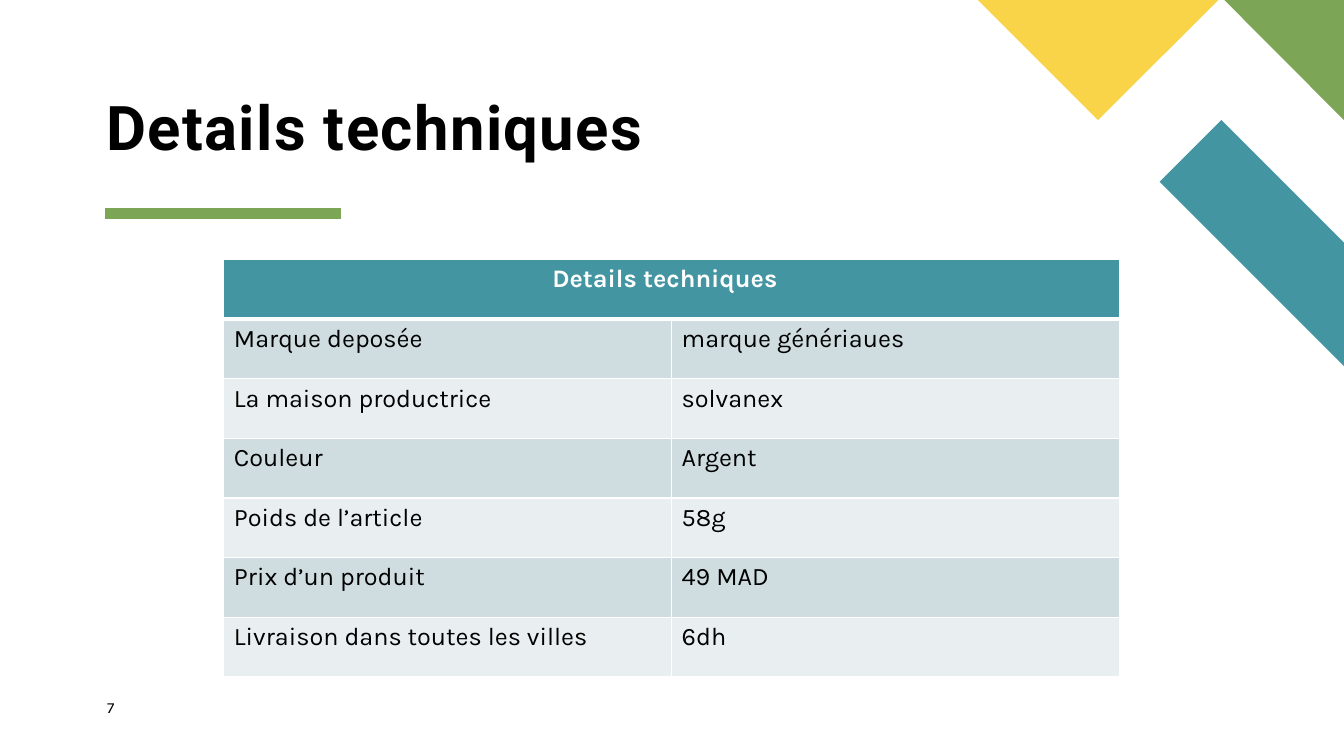
import dataclasses

import lxml.etree
import pptx
import pptx.dml.color
import pptx.enum.shapes
import pptx.enum.text
import pptx.oxml.ns
import pptx.util


@dataclasses.dataclass(frozen=True)
class Theme:
    teal: str = "4495A2"
    green: str = "7CA655"
    yellow: str = "F9D448"
    white: str = "FFFFFF"
    black: str = "000000"
    bands: tuple = ("CFDDE0", "E9EFF0")
    heading_font: str = "Roboto"
    body_font: str = "Karla"
    title_size: int = 44
    table_size: int = 18
    number_size: int = 11
    rule_width: int = 8
    border_width: int = 1
    header_border_width: int = 3


class SlideBuilder:
    COLUMNS = 160
    ROWS = 90

    def __init__(self, presentation, theme):
        self.theme = theme
        self.column = presentation.slide_width / self.COLUMNS
        self.row = presentation.slide_height / self.ROWS
        self.slide = presentation.slides.add_slide(presentation.slide_layouts[6])
        background = self.slide.background.fill
        background.solid()
        background.fore_color.rgb = self.color(theme.white)

    def color(self, value):
        return pptx.dml.color.RGBColor.from_string(value)

    def point(self, column, row):
        return round(column * self.column), round(row * self.row)

    def add_run(self, paragraph, text, size, font, color, bold=False):
        run = paragraph.add_run()
        run.text = text
        run.font.size = pptx.util.Pt(size)
        run.font.name = font
        run.font.bold = bold
        run.font.color.rgb = self.color(color)
        return run

    def add_text(self, position, extent, text, size, font, bold=False,
                 anchor=pptx.enum.text.MSO_ANCHOR.TOP, line_spacing=1.0, tracking=0):
        box = self.slide.shapes.add_textbox(*self.point(*position), *self.point(*extent))
        frame = box.text_frame
        frame.word_wrap = True
        frame.vertical_anchor = anchor
        frame.margin_left = frame.margin_right = 0
        frame.margin_top = frame.margin_bottom = 0
        paragraph = frame.paragraphs[0]
        paragraph.line_spacing = line_spacing
        run = self.add_run(paragraph, text, size, font, self.theme.black, bold)
        if tracking:
            run.font._element.set("spc", str(tracking * 100))

    def add_polygon(self, points, color):
        start, *others = [self.point(*point) for point in points]
        builder = self.slide.shapes.build_freeform(*start)
        builder.add_line_segments(others, close=True)
        shape = builder.convert_to_shape()
        shape.shadow.inherit = False
        shape.fill.solid()
        shape.fill.fore_color.rgb = self.color(color)
        shape.line.fill.background()

    def add_rule(self, start, end, color, width):
        connector = self.slide.shapes.add_connector(
            pptx.enum.shapes.MSO_CONNECTOR.STRAIGHT, *self.point(*start), *self.point(*end))
        connector.line.color.rgb = self.color(color)
        connector.line.width = pptx.util.Pt(width)
        lxml.etree.SubElement(connector._element.spPr, pptx.oxml.ns.qn("a:effectLst"))

    def style_cell(self, cell, fill, top, bottom):
        properties = cell._tc.get_or_add_tcPr()
        side = self.theme.border_width
        for name, width in (("lnL", side), ("lnR", side), ("lnT", top), ("lnB", bottom)):
            line = lxml.etree.SubElement(properties, pptx.oxml.ns.qn(f"a:{name}"))
            line.set("w", str(pptx.util.Pt(width)))
            solid = lxml.etree.SubElement(line, pptx.oxml.ns.qn("a:solidFill"))
            color = lxml.etree.SubElement(solid, pptx.oxml.ns.qn("a:srgbClr"))
            color.set("val", self.theme.white)
        cell.fill.solid()
        cell.fill.fore_color.rgb = self.color(fill)

    def add_table(self, position, extent, header, header_inset, details):
        theme = self.theme
        table = self.slide.shapes.add_table(
            len(details) + 1, 2, *self.point(*position), *self.point(*extent)).table
        thin, thick = theme.border_width, theme.header_border_width
        for cell in table.rows[0].cells:
            self.style_cell(cell, theme.teal, thin, thick)
        title_cell = table.cell(0, 0)
        title_cell.merge(table.cell(0, 1))
        title_cell.margin_left = self.point(header_inset, 0)[0]
        self.add_run(title_cell.text_frame.paragraphs[0], header, theme.table_size,
                     theme.body_font, theme.white, True)
        for index, detail in enumerate(details):
            for cell, text in zip(table.rows[index + 1].cells, detail):
                fill = theme.bands[index % len(theme.bands)]
                self.style_cell(cell, fill, thin if index else thick, thin)
                self.add_run(cell.text_frame.paragraphs[0], text, theme.table_size,
                             theme.body_font, theme.black)


def main():
    presentation = pptx.Presentation()
    presentation.slide_width = pptx.util.Inches(13.33)
    presentation.slide_height = pptx.util.Inches(7.5)
    theme = Theme()
    builder = SlideBuilder(presentation, theme)

    builder.add_rule((12.5, 25.45), (40.55, 25.45), theme.green, theme.rule_width)
    builder.add_polygon([(160, 43.6), (160, 28.9), (145.4, 14.3), (138.05, 21.65)], theme.teal)
    builder.add_polygon([(160, 14.3), (160, 0), (145.75, 0)], theme.green)
    builder.add_polygon([(116.4, 0), (130.7, 14.3), (145.05, 0)], theme.yellow)

    builder.add_text((12.65, 11.5), (64.8, 8), "Details techniques", theme.title_size,
                     theme.heading_font, bold=True,
                     anchor=pptx.enum.text.MSO_ANCHOR.BOTTOM, line_spacing=0.9, tracking=1)
    builder.add_text((12.75, 83.1), (6.8, 3.25), "7", theme.number_size, theme.body_font)
    builder.add_table((26.65, 30.9), (106.6, 49.7), "Details techniques", 39.1, [
        ("Marque deposée", "marque génériaues"),
        ("La maison productrice", "solvanex"),
        ("Couleur", "Argent"),
        ("Poids de l’article", "58g"),
        ("Prix d’un produit", "49 MAD"),
        ("Livraison dans toutes les villes", "6dh"),
    ])
    presentation.save("out.pptx")


if __name__ == "__main__":
    main()
